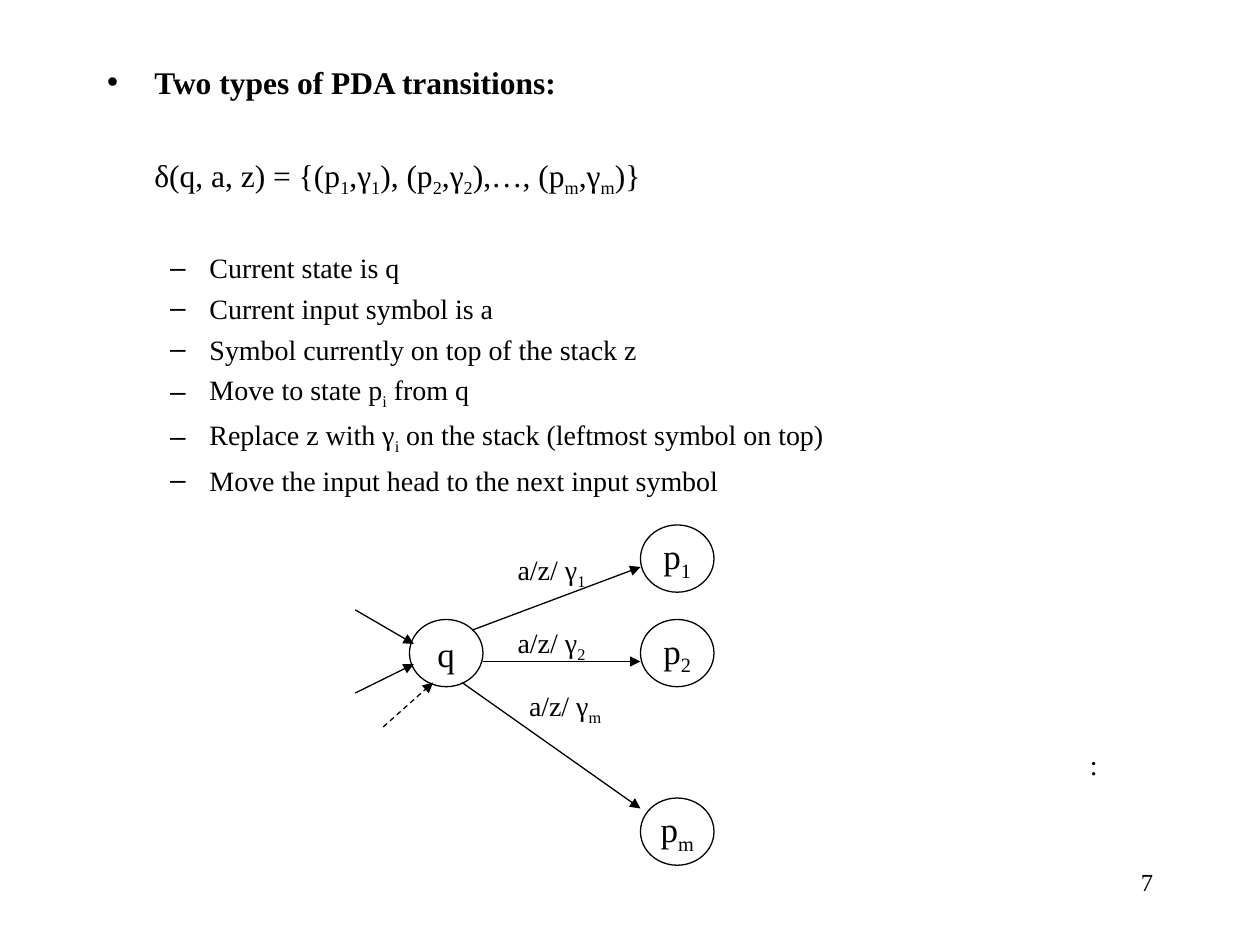
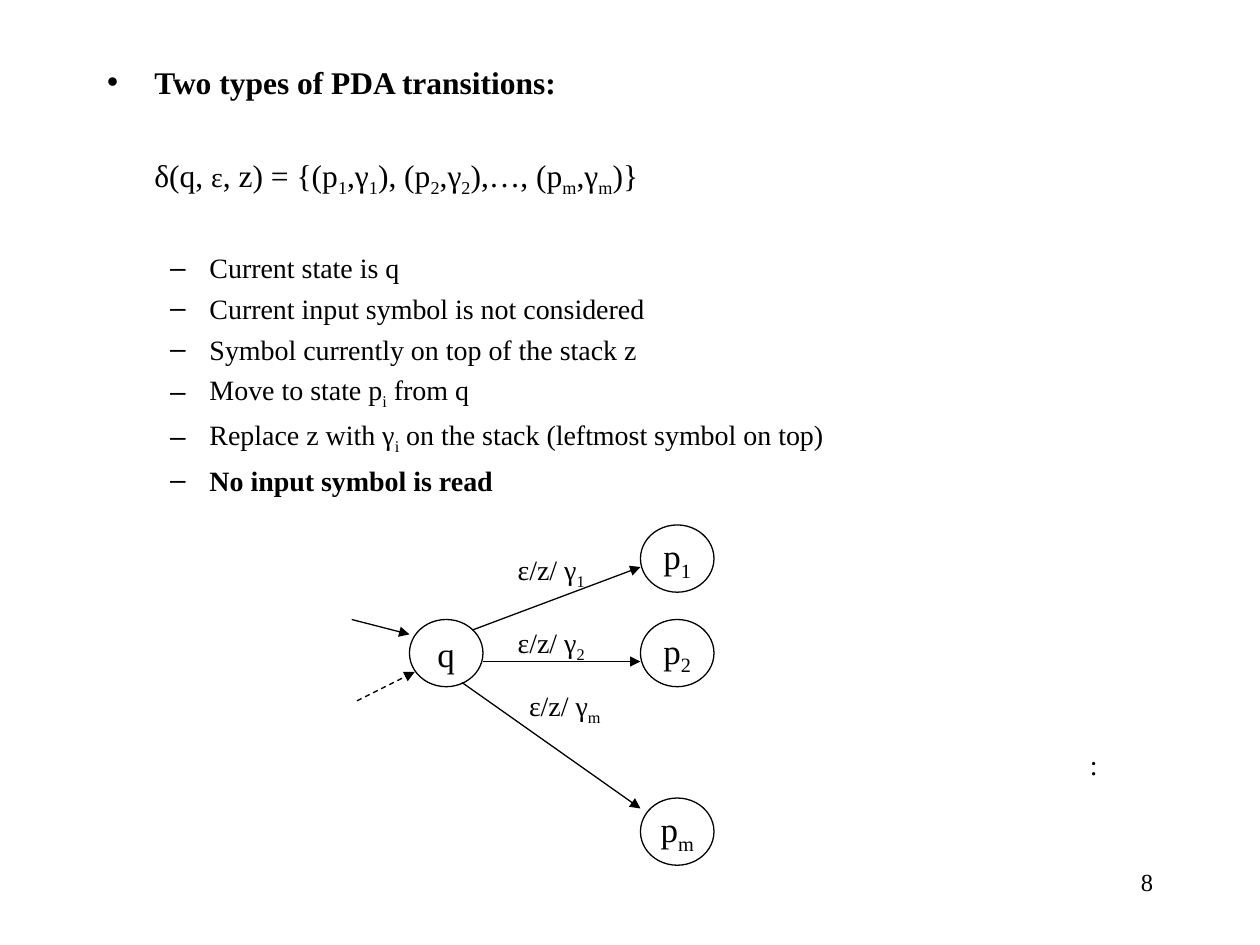
from lxml import etree
from pptx import Presentation
from pptx.dml.color import RGBColor
from pptx.enum.dml import MSO_LINE
from pptx.enum.shapes import MSO_CONNECTOR, MSO_SHAPE
from pptx.enum.text import MSO_ANCHOR, MSO_AUTO_SIZE, PP_ALIGN
from pptx.oxml.ns import qn
from pptx.util import Pt

OVAL = MSO_SHAPE.OVAL
LINE = MSO_CONNECTOR.STRAIGHT
DASH = MSO_LINE.DASH
TOP, MIDDLE = MSO_ANCHOR.TOP, MSO_ANCHOR.MIDDLE
CENTER, RIGHT = PP_ALIGN.CENTER, PP_ALIGN.RIGHT
FIXED = MSO_AUTO_SIZE.NONE
FONT = "Times New Roman"
INK = {"text": "000000", "line": "000000"}

# Boxes: left, top, width, height
BODY = (54, 32.4, 612, 483)
GRAPH = (200, 300, 208, 194)
NUMBER = (516, 492, 150, 36)

STATE = (42, 38.4)
STATES = [("q", 34, 54), ("p|_1", 166, 0), ("p|_2", 166, 54), ("p|_m", 166, 156)]
MOVES = [(70, 60, 166, 24), (76, 78, 166, 78), (64, 90, 166, 162)]
LABEL = (60, 29.5)
LABELS = [("1", 88.7, 12), ("2", 88.7, 54), ("m", 95.2, 90)]

SLIDES = [
    {
        "number": "7",
        "read": "a",
        "formula": "a",
        "input": "Current input symbol is a",
        "last": "Move the input head to the next input symbol",
        "bold": False,
        "entry": [(3, 48.5, 36.5, 68), (3, 96, 36.5, 79.5)],
        "dashed": (19, 115.4, 47.5, 90),
    },
    {
        "number": "8",
        "read": "ε",
        "formula": "|~ε|",
        "input": "Current input symbol is not considered",
        "last": "No input symbol is read",
        "bold": True,
        "entry": [(1, 54, 34, 62.5)],
        "dashed": (4, 100.5, 37, 84),
    },
]


def color(name):
    return RGBColor.from_string(INK[name])


def write(para, text, size, bold=False):
    """Runs are parted by |; a leading _ lowers a run, ~ makes it smaller."""
    font = para.font
    font.name, font.size, font.bold = FONT, Pt(size), bold
    font.color.rgb = color("text")
    for part in text.split("|"):
        run = para.add_run()
        run.text = part.lstrip("_~")
        if part.startswith("_"):
            run.font._element.set("baseline", "-25000")
        elif part.startswith("~"):
            run.font.size = Pt(size - 2)


def item(para, mark, left, hang, gap, level=0):
    """Set the bullet, indent and space of a list paragraph."""
    para.level = level
    para.space_before = Pt(gap)
    props = para._p.get_or_add_pPr()
    props.set("marL", str(Pt(left)))
    props.set("indent", str(Pt(-hang)))
    if mark:
        etree.SubElement(props, qn("a:buChar")).set("char", mark)
    else:
        etree.SubElement(props, qn("a:buNone"))


def place(shape, box):
    shape.left, shape.top, shape.width, shape.height = map(Pt, box)


def body(slide, box, data):
    """Heading, formula and list of steps."""
    title = slide.shapes.title._element
    title.getparent().remove(title)
    holder = slide.placeholders[1]
    place(holder, box)
    frame = holder.text_frame
    frame.auto_size = FIXED
    frame.vertical_anchor = TOP

    head = frame.paragraphs[0]
    item(head, "•", 27, 27, 0)
    write(head, "Two types of PDA transitions:", 18, True)

    rule = frame.add_paragraph()
    item(rule, None, 27, 0, 31.3)
    write(rule, f"δ(q, {data['formula']}, z) = {{(p|_1|,γ|_1|), (p|_2|,γ|_2|),…, (p|_m|,γ|_m|)}}", 18)

    steps = [
        "Current state is q",
        data["input"],
        "Symbol currently on top of the stack z",
        "Move to state p|_i| from q",
        "Replace z with γ|_i| on the stack (leftmost symbol on top)",
        data["last"],
    ]
    for i, text in enumerate(steps):
        step = frame.add_paragraph()
        item(step, "–", 58.5, 22.5, 4 if i else 30, 1)
        write(step, text, 16, data["bold"] and text == data["last"])

    # Lone colon at the right
    colon = frame.add_paragraph()
    item(colon, None, 561.6, 0, 143.3, 1)
    write(colon, ":", 16)


def arrow(slide, box, ends, dashed=False):
    x, y = box[:2]
    x1, y1, x2, y2 = ends
    link = slide.shapes.add_connector(LINE, Pt(x + x1), Pt(y + y1), Pt(x + x2), Pt(y + y2))
    link.line.color.rgb = color("line")
    link.line.width = Pt(0.75)
    if dashed:
        link.line.dash_style = DASH
    etree.SubElement(link.line._get_or_add_ln(), qn("a:tailEnd")).set("type", "triangle")
    etree.SubElement(link._element.spPr, qn("a:effectLst"))


def graph(slide, box, data):
    """States, moves between them and their labels."""
    x, y = box[:2]
    for name, dx, dy in STATES:
        state = slide.shapes.add_shape(OVAL, Pt(x + dx), Pt(y + dy), *map(Pt, STATE))
        state.shadow.inherit = False
        state.fill.background()
        state.line.color.rgb = color("line")
        state.line.width = Pt(0.75)
        frame = state.text_frame
        frame.word_wrap = False
        frame.vertical_anchor = MIDDLE
        para = frame.paragraphs[0]
        para.alignment = CENTER
        write(para, name, 20)
    for ends in MOVES + data["entry"]:
        arrow(slide, box, ends)
    arrow(slide, box, data["dashed"], True)
    for sub, dx, dy in LABELS:
        label = slide.shapes.add_textbox(Pt(x + dx), Pt(y + dy), *map(Pt, LABEL))
        label.text_frame.word_wrap = True
        write(label.text_frame.paragraphs[0], f"{data['read']}/z/ γ|_{sub}", 16)


def footer(slide, box, number):
    """Page number."""
    frame = slide.shapes.add_textbox(*map(Pt, box)).text_frame
    frame.word_wrap = True
    para = frame.paragraphs[0]
    para.alignment = RIGHT
    write(para, number, 14)


def main():
    deck = Presentation()
    deck.slide_width, deck.slide_height = Pt(720), Pt(540)
    for data in SLIDES:
        slide = deck.slides.add_slide(deck.slide_layouts[1])
        body(slide, BODY, data)
        graph(slide, GRAPH, data)
        footer(slide, NUMBER, data["number"])
    deck.save("out.pptx")


if __name__ == "__main__":
    main()
